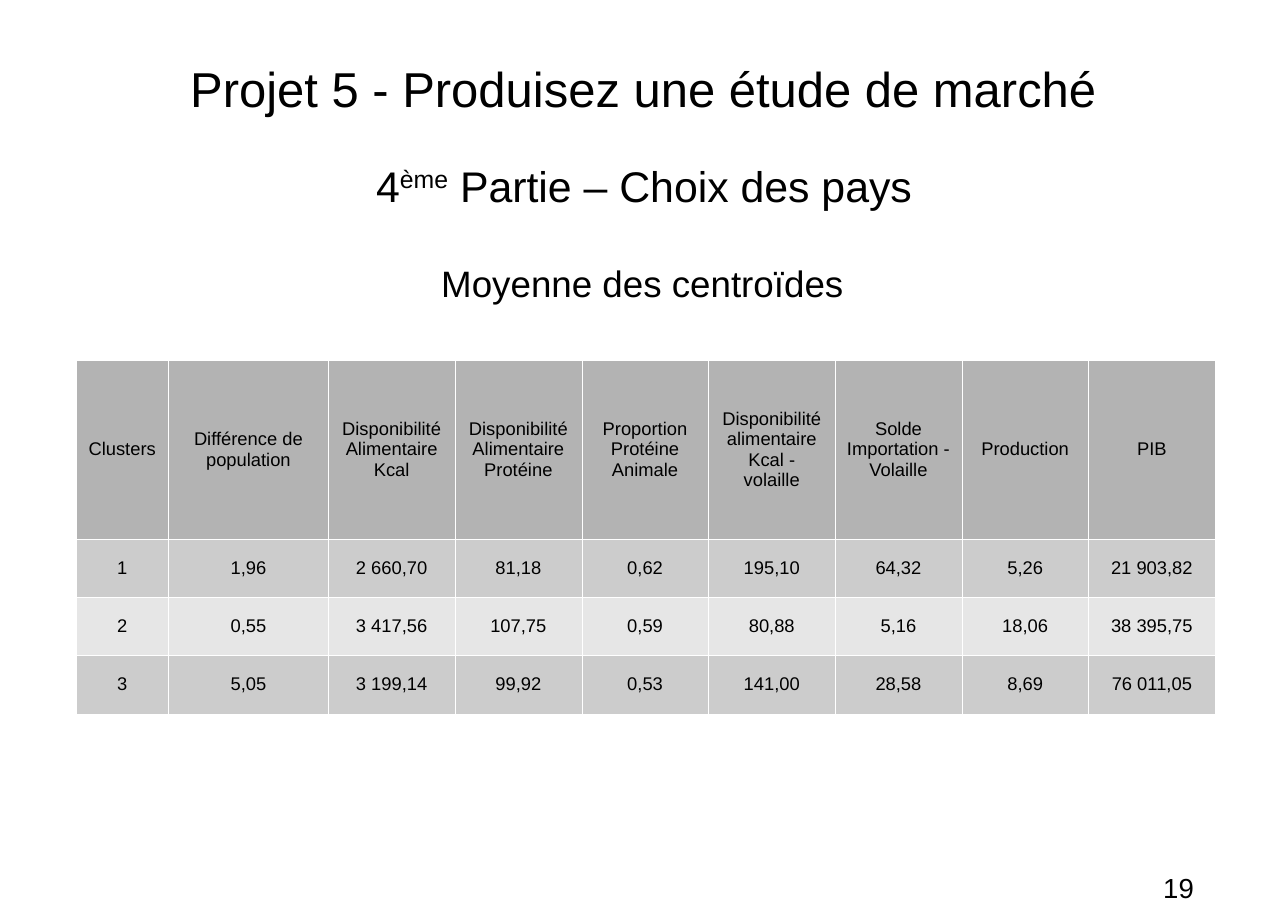
from lxml import etree
from pptx import Presentation
from pptx.dml.color import RGBColor
from pptx.enum import text
from pptx.oxml import ns
from pptx.util import Inches, Pt

FONT = "Arial"
BLACK = RGBColor(0x00, 0x00, 0x00)
HEADER_GREY = RGBColor(0xB3, 0xB3, 0xB3)
ROW_GREYS = (RGBColor(0xCC, 0xCC, 0xCC), RGBColor(0xE6, 0xE6, 0xE6))
BORDER_COLOUR = "FFFFFF"
BORDER_WIDTH = Pt(0.06)

COLUMN_WIDTHS = [0.84, 1.45] + [1.15] * 7
ROW_HEIGHTS = [1.62] + [0.53] * 3
CENTROIDS = [
    ["Clusters", "Différence de population", "Disponibilité Alimentaire Kcal",
     "Disponibilité Alimentaire Protéine", "Proportion Protéine Animale",
     "Disponibilité alimentaire Kcal - volaille",
     "Solde Importation - Volaille", "Production", "PIB"],
    ["1", "1,96", "2 660,70", "81,18", "0,62", "195,10", "64,32", "5,26", "21 903,82"],
    ["2", "0,55", "3 417,56", "107,75", "0,59", "80,88", "5,16", "18,06", "38 395,75"],
    ["3", "5,05", "3 199,14", "99,92", "0,53", "141,00", "28,58", "8,69", "76 011,05"],
]


def write(frame, *parts, size, align=text.PP_ALIGN.CENTER, superscript=None):
    """Write the parts as spans of one paragraph; one of them may be raised."""
    para = frame.paragraphs[0]
    para.alignment = align
    para.space_before = Pt(0)
    for part in parts:
        span = para.add_run()
        span.text = part
        span.font.name = FONT
        span.font.size = Pt(size)
        span.font.bold = False
        span.font.color.rgb = BLACK
        if part == superscript:
            span.font._element.set("baseline", "33000")


def place(box, left, top, width, height):
    box.left, box.top = Inches(left), Inches(top)
    box.width, box.height = Inches(width), Inches(height)


def format_heading(box, *parts, **format_options):
    """Centre a heading in a box without margins."""
    frame = box.text_frame
    frame.word_wrap = True
    frame.auto_size = text.MSO_AUTO_SIZE.NONE
    frame.vertical_anchor = text.MSO_ANCHOR.MIDDLE
    frame.margin_left = frame.margin_right = 0
    frame.margin_top = frame.margin_bottom = 0
    write(frame, *parts, **format_options)


def add_box(page, left, top, width, height):
    return page.shapes.add_textbox(
        Inches(left), Inches(top), Inches(width), Inches(height))


def set_borders(cell):
    properties = cell._tc.get_or_add_tcPr()
    for side in ("a:lnL", "a:lnR", "a:lnT", "a:lnB"):
        line = etree.SubElement(properties, ns.qn(side), w=str(int(BORDER_WIDTH)))
        fill = etree.SubElement(line, ns.qn("a:solidFill"))
        etree.SubElement(fill, ns.qn("a:srgbClr"), val=BORDER_COLOUR)


def format_cell(cell, content, colour):
    set_borders(cell)
    cell.fill.solid()
    cell.fill.fore_color.rgb = colour
    cell.vertical_anchor = text.MSO_ANCHOR.MIDDLE
    write(cell.text_frame, content, size=12)


def add_centroid_table(page, left, top):
    table = page.shapes.add_table(
        len(ROW_HEIGHTS), len(COLUMN_WIDTHS), Inches(left), Inches(top),
        Inches(sum(COLUMN_WIDTHS)), Inches(sum(ROW_HEIGHTS))).table
    for column, width in zip(table.columns, COLUMN_WIDTHS):
        column.width = Inches(width)
    for index, (row, height) in enumerate(zip(table.rows, ROW_HEIGHTS)):
        row.height = Inches(height)
        colour = ROW_GREYS[(index - 1) % 2] if index else HEADER_GREY
        for cell, content in zip(row.cells, CENTROIDS[index]):
            format_cell(cell, content, colour)


def main():
    deck = Presentation()
    deck.slide_width, deck.slide_height = Inches(11.69), Inches(8.27)
    page = deck.slides.add_slide(deck.slide_layouts[0])

    # Title and subtitle
    title, subtitle = page.shapes.title, page.placeholders[1]
    place(title, 0.94, 0.33, 9.81, 0.94)
    format_heading(title, "Projet 5 - Produisez une étude de marché", size=32)
    place(subtitle, 0.94, 1.26, 9.81, 0.85)
    format_heading(subtitle, "4", "ème", " Partie – Choix des pays",
                   size=28, superscript="ème")

    # Page number
    number = add_box(page, 10.46, 7.86, 1.34, 0.47)
    number.text_frame.word_wrap = True
    write(number.text_frame, "19", size=18, align=text.PP_ALIGN.LEFT)

    # Table and its heading
    heading = add_box(page, 0.71, 2.14, 10.24, 0.85)
    format_heading(heading, "Moyenne des centroïdes", size=24)
    add_centroid_table(page, 0.69, 3.27)

    deck.save("out.pptx")


if __name__ == "__main__":
    main()
